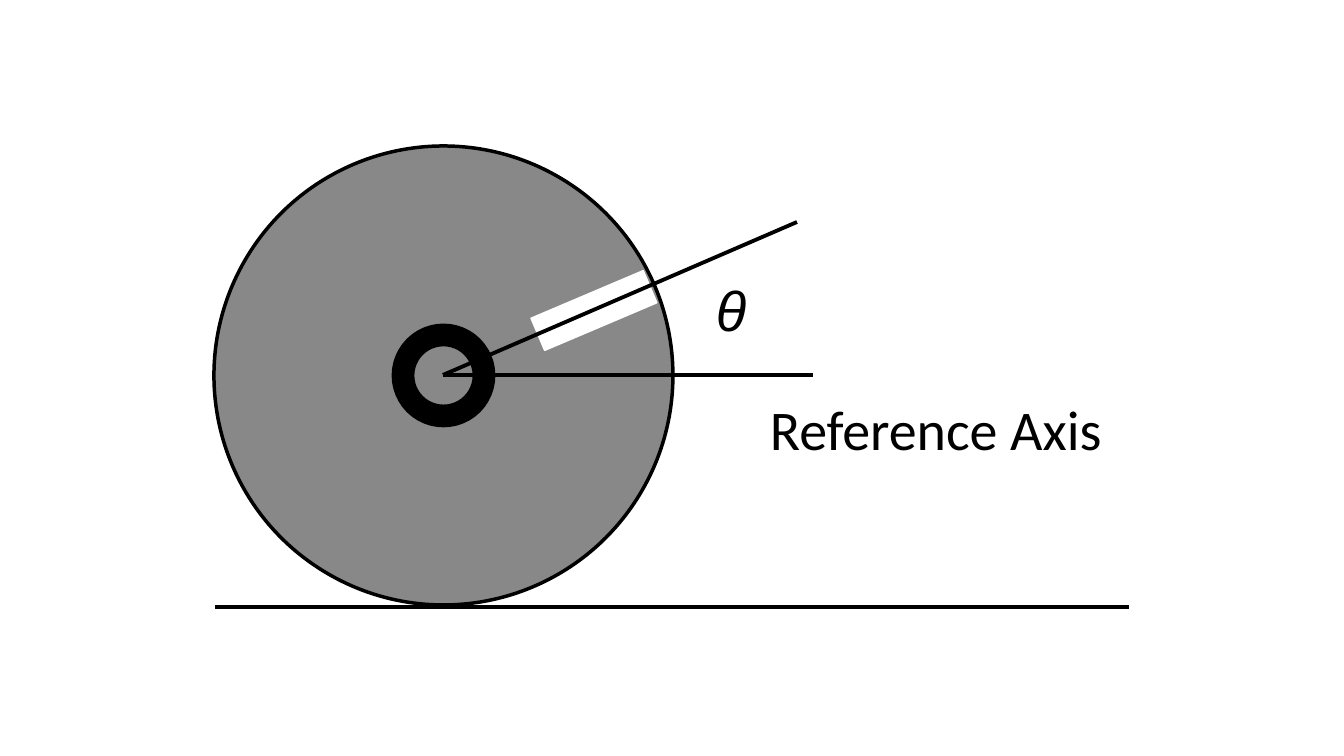
from lxml import etree
from pptx import Presentation
from pptx.dml.color import RGBColor
from pptx.enum.shapes import MSO_CONNECTOR as Connector, MSO_SHAPE as Shape
from pptx.enum.text import MSO_AUTO_SIZE as AutoSize
from pptx.oxml.ns import qn
from pptx.util import Emu, Pt

BLACK = RGBColor(0x00, 0x00, 0x00)
GRAY = RGBColor(0x88, 0x88, 0x88)
WHITE = RGBColor(0xFF, 0xFF, 0xFF)
SLIDE_WIDTH, SLIDE_HEIGHT = 1344, 756
SLOT_ROTATION = 337


def px(length):
    """Turn pixels into EMU."""
    return Emu(round(length * 914400 / 100.8))


def add_solid(slide, kind, box, fill, line, weight):
    """Add a filled and outlined shape in a (left, top, width, height) box."""
    shape = slide.shapes.add_shape(kind, *map(px, box))
    shape.shadow.inherit = False
    shape.fill.solid()
    shape.fill.fore_color.rgb = fill
    shape.line.color.rgb = line
    shape.line.width = Pt(weight)
    return shape


def add_line(slide, start, end):
    """Add a straight black line between two points."""
    line = slide.shapes.add_connector(Connector.STRAIGHT, *map(px, start + end))
    line.line.color.rgb = BLACK
    line.line.width = Pt(2.75)
    etree.SubElement(line._element.spPr, qn("a:effectLst"))


def add_label(slide, box, text, font_name, italic=False):
    """Add a one-line label that does not wrap."""
    frame = slide.shapes.add_textbox(*map(px, box)).text_frame
    frame.word_wrap = False
    frame.auto_size = AutoSize.SHAPE_TO_FIT_TEXT
    frame.text = text
    font = frame.paragraphs[0].runs[0].font
    font.name = font_name
    font.size = Pt(40)
    font.italic = italic
    font.color.rgb = BLACK


def add_wheel(slide, left, top, diameter):
    """Draw the disc with its slot and hub, and return its centre."""
    center_x, center_y = left + diameter // 2, top + diameter // 2
    hub = 81
    add_solid(slide, Shape.OVAL, (left, top, diameter, diameter), GRAY, BLACK, 2.5)
    slot = add_solid(slide, Shape.RECTANGLE, (left + 319, top + 147, 122, 35),
                     WHITE, WHITE, 1)
    slot.rotation = SLOT_ROTATION
    add_solid(slide, Shape.OVAL, (center_x - hub // 2, center_y - hub // 2, hub, hub),
              GRAY, BLACK, 16.25)
    return center_x, center_y


def add_angle(slide, x, y):
    """Draw the reference axis, the slot axis and their labels from a vertex."""
    add_line(slide, (x, y), (x + 370, y))
    add_line(slide, (x, y), (x + 354, y - 153))
    add_label(slide, (x + 317, y + 15, 356, 78), "Reference Axis", "Calibri")
    add_label(slide, (x + 263, y - 104, 49, 78), "θ", "Arial", italic=True)


def add_diagram(slide, left, top):
    """Draw the wheel on the ground with its angle to the reference axis."""
    diameter = 459
    center = add_wheel(slide, left, top, diameter)
    add_angle(slide, *center)
    ground = top + diameter + 2
    add_line(slide, (left + 1, ground), (left + 915, ground))


presentation = Presentation()
presentation.slide_width = px(SLIDE_WIDTH)
presentation.slide_height = px(SLIDE_HEIGHT)
diagram_slide = presentation.slides.add_slide(presentation.slide_layouts[6])
add_diagram(diagram_slide, 214, 146)
presentation.save("out.pptx")
